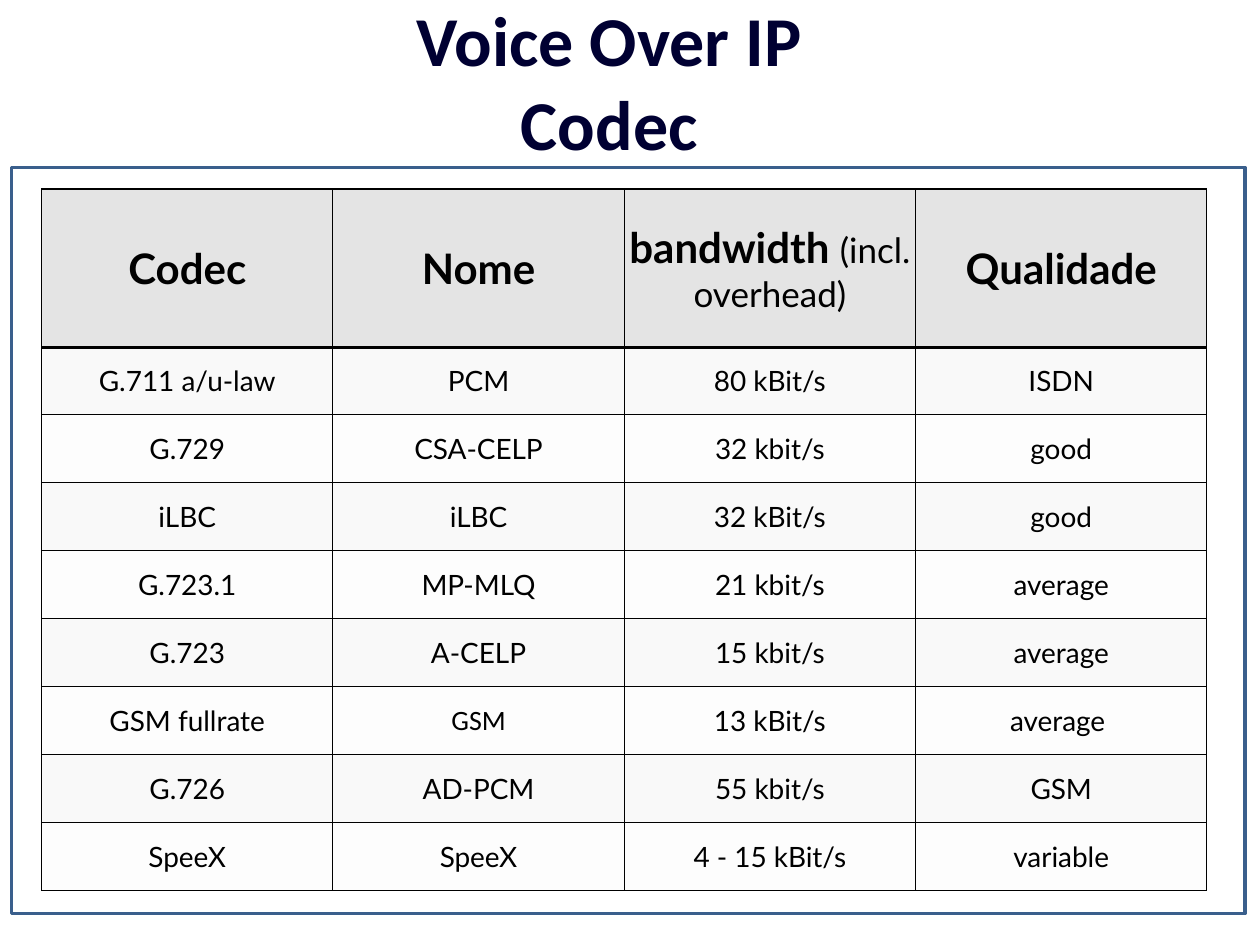
from lxml.etree import SubElement
from pptx import Presentation
from pptx.dml.color import RGBColor
from pptx.enum.shapes import MSO_SHAPE
from pptx.enum.text import MSO_ANCHOR, PP_ALIGN
from pptx.oxml.ns import qn
from pptx.util import Inches, Pt

COLORS = {
    "title": "000032", "text": "000000", "border": "000000", "frame": "3A5F8C",
    "header": "E4E4E4", "odd": "F9F9F9", "even": "FDFDFD",
}
HEADERS = ["Codec", "Nome", "bandwidth ", "Qualidade"]
HEADER_NOTE = "(incl. overhead)"
CODECS = [
    ["G.711 a/u-law", "PCM", "80 kBit/s", "ISDN"],
    ["G.729", "CSA-CELP", "32 kbit/s", "good"],
    ["iLBC", "iLBC", "32 kBit/s", "good"],
    ["G.723.1", "MP-MLQ", "21 kbit/s", "average"],
    ["G.723", "A-CELP", "15 kbit/s", "average"],
    ["GSM fullrate", "GSM", "13 kBit/s", "average "],
    ["G.726", "AD-PCM", "55 kbit/s", "GSM"],
    ["SpeeX", "SpeeX", "4 - 15 kBit/s", "variable"],
]
CALIBRI_CELL = (6, 1)
HEADER_HEIGHT, FIRST_ROW_HEIGHT, ROW_HEIGHT = 1.26, 0.53, 0.54


def color(name):
    return RGBColor.from_string(COLORS[name])


def add_text(para, text, size=16, font="Lato", fill="text", bold=False):
    """Append one formatted span to a centred paragraph."""
    para.alignment = PP_ALIGN.CENTER
    span = para.add_run()
    span.text = text
    span.font.size = Pt(size)
    span.font.name = font
    span.font.bold = bold
    span.font.color.rgb = color(fill)


def add_frame(page):
    frame = page.shapes.add_shape(
        MSO_SHAPE.RECTANGLE, Inches(0.09), Inches(1.33), Inches(9.79), Inches(5.92))
    frame.shadow.inherit = False
    frame.fill.background()
    frame.line.color.rgb = color("frame")
    frame.line.width = Pt(2)


def set_title(page, lines):
    title = page.shapes.title
    title.left, title.top = Inches(2.17), Inches(-0.08)
    title.width, title.height = Inches(5.33), Inches(1.45)
    box = title.text_frame
    box.word_wrap = True
    box.vertical_anchor = MSO_ANCHOR.TOP
    for index, line in enumerate(lines):
        para = box.add_paragraph() if index else box.paragraphs[0]
        para.space_before = Pt(0)
        add_text(para, line, size=40, font="Calibri", fill="title", bold=True)


def set_borders(cell, top=0.75, bottom=0.75):
    properties = cell._tc.get_or_add_tcPr()
    for side, width in (("L", 0.75), ("R", 0.75), ("T", top), ("B", bottom)):
        line = SubElement(properties, qn(f"a:ln{side}"), w=str(Pt(width)))
        fill = SubElement(line, qn("a:solidFill"))
        SubElement(fill, qn("a:srgbClr"), val=COLORS["border"])


def style_cell(cell, row):
    cell.vertical_anchor = MSO_ANCHOR.MIDDLE
    cell.margin_left = cell.margin_right = Inches(0.03)
    cell.margin_top = cell.margin_bottom = Inches(0.03)
    # Borders precede the fill in the cell's properties
    set_borders(cell, top=2.25 if row == 1 else 0.75, bottom=2.25 if row == 0 else 0.75)
    cell.fill.solid()
    cell.fill.fore_color.rgb = color("header" if row == 0 else "odd" if row % 2 else "even")


def add_codec_table(page):
    rows = [HEADERS] + CODECS
    table = page.shapes.add_table(
        len(rows), len(HEADERS), Inches(0.33), Inches(1.5), Inches(9.25), Inches(5.58)).table
    heights = [HEADER_HEIGHT, FIRST_ROW_HEIGHT] + [ROW_HEIGHT] * (len(CODECS) - 1)
    for table_row, height in zip(table.rows, heights):
        table_row.height = Inches(height)

    for row, values in enumerate(rows):
        for column, value in enumerate(values):
            cell = table.cell(row, column)
            style_cell(cell, row)
            para = cell.text_frame.paragraphs[0]
            font = "Calibri" if (row, column) == CALIBRI_CELL else "Lato"
            add_text(para, value, size=16 if row else 24, font=font, bold=row == 0)

    # Lighter note after the bandwidth heading
    add_text(table.cell(0, 2).text_frame.paragraphs[0], HEADER_NOTE, size=20)


def main():
    deck = Presentation()
    deck.slide_width, deck.slide_height = Inches(10), Inches(7.5)
    page = deck.slides.add_slide(deck.slide_layouts[5])
    add_frame(page)
    set_title(page, ["Voice Over IP", "Codec"])
    add_codec_table(page)
    deck.save("out.pptx")


if __name__ == "__main__":
    main()
